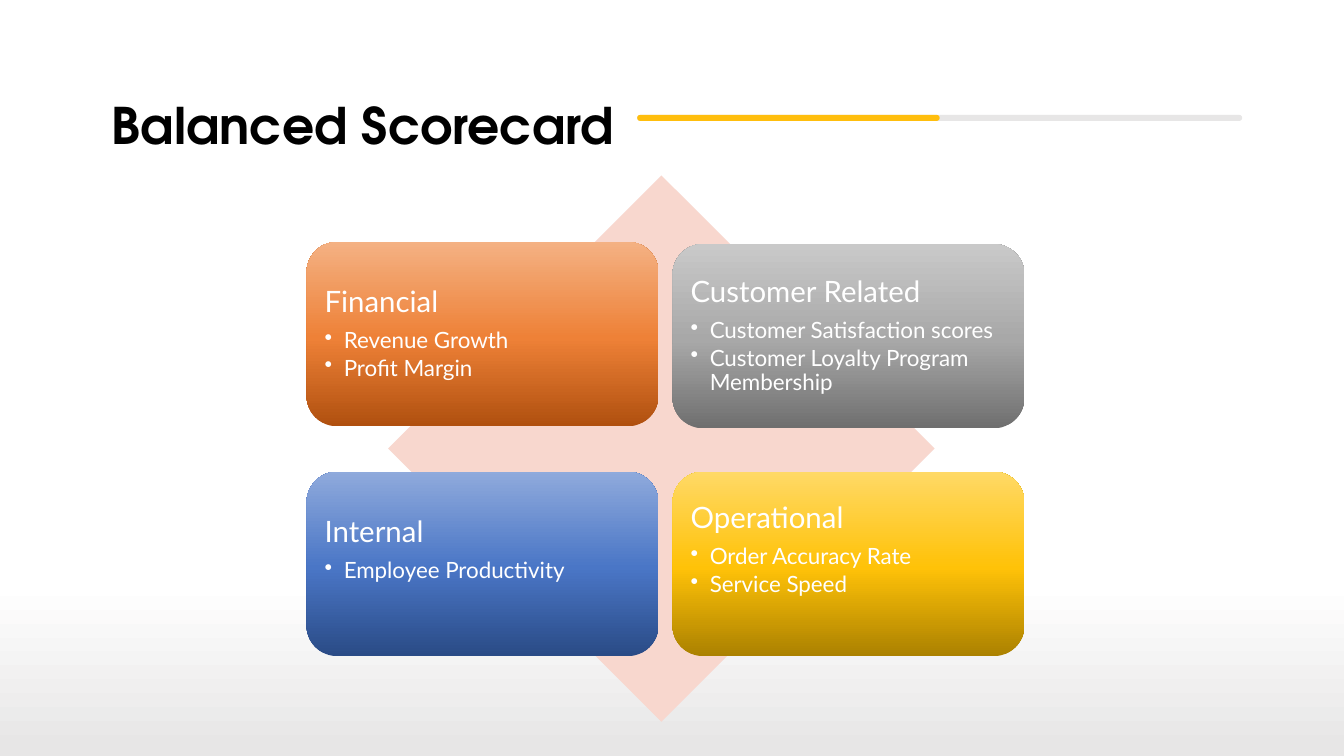
from lxml import etree
from pptx import Presentation
from pptx.dml.color import RGBColor
from pptx.enum.shapes import MSO_SHAPE as SHAPE
from pptx.enum.text import MSO_ANCHOR as ANCHOR, MSO_AUTO_SIZE as AUTO_SIZE, PP_ALIGN as ALIGN
from pptx.oxml.ns import qn
from pptx.util import Inches, Pt

BLACK = RGBColor(0x00, 0x00, 0x00)
WHITE = RGBColor(0xFF, 0xFF, 0xFF)
PALE_GREY = RGBColor(0xE7, 0xE6, 0xE6)
GOLD = RGBColor(0xFF, 0xBE, 0x0D)
BLUSH = RGBColor(0xF8, 0xD7, 0xCE)
ORANGES = (RGBColor(0xB0, 0x50, 0x0F), RGBColor(0xEE, 0x81, 0x37), RGBColor(0xF4, 0xB1, 0x83))
GREYS = (RGBColor(0x6F, 0x6F, 0x6F), RGBColor(0xA8, 0xA8, 0xA8), RGBColor(0xC9, 0xC9, 0xC9))
BLUES = (RGBColor(0x2A, 0x4B, 0x86), RGBColor(0x4A, 0x76, 0xC6), RGBColor(0x8F, 0xAA, 0xDC))
YELLOWS = (RGBColor(0xAB, 0x81, 0x00), RGBColor(0xFF, 0xC2, 0x08), RGBColor(0xFF, 0xD9, 0x66))

TITLE_FONT = {"name": "TeX Gyre Adventor", "size": Pt(36), "bold": True}
HEADING_FONT = {"name": "Lato", "size": Pt(21)}
MEASURE_FONT = {"name": "Lato", "size": Pt(16)}
HEADING_FORMAT = {"alignment": ALIGN.LEFT, "line_spacing": 0.9, "space_after": Pt(7.5)}
MEASURE_FORMAT = {"alignment": ALIGN.LEFT, "line_spacing": 0.9, "space_after": Pt(2.4), "level": 1}

CARD_INSET = 0.09
CARD_STOPS = (0, 48, 100)
# heading, measures, colours, left, top, room kept free below the text
CARDS = [
    ("Financial", ["Revenue Growth", "Profit Margin"], ORANGES, 3.04, 2.4, 0),
    ("Customer Related", ["Customer Satisfaction scores", "Customer Loyalty Program Membership"],
     GREYS, 6.67, 2.42, 0),
    ("Internal", ["Employee Productivity"], BLUES, 3.04, 4.68, 0.27),
    ("Operational", ["Order Accuracy Rate", "Service Speed"], YELLOWS, 6.67, 4.68, 0.27),
]


def set_format(target, values):
    for name, value in values.items():
        setattr(target, name, value)


def set_gradient(fill, owner, stops, angle):
    """Fill with (percent, colour) stops; owner is the XML element holding the fill."""
    fill.gradient()
    fill.gradient_angle = angle
    stop_list = next(owner.iter(qn("a:gsLst")))
    for stop in list(stop_list):
        stop_list.remove(stop)
    for percent, colour in stops:
        stop = etree.SubElement(stop_list, qn("a:gs"), pos=str(percent * 1000))
        etree.SubElement(stop, qn("a:srgbClr"), val=str(colour))


def add_plain_shape(slide, kind, left, top, width, height, colour=None):
    shape = slide.shapes.add_shape(kind, Inches(left), Inches(top), Inches(width), Inches(height))
    shape.shadow.inherit = False
    shape.line.fill.background()
    if colour is not None:
        shape.fill.solid()
        shape.fill.fore_color.rgb = colour
    return shape


def add_bar(slide, width, colour):
    bar = add_plain_shape(slide, SHAPE.ROUNDED_RECTANGLE, 6.32, 1.14, width, 0.06, colour)
    bar.adjustments[0] = 0.5


def write(para, text, font, colour):
    span = para.add_run()
    span.text = text
    set_format(span.font, font)
    span.font.color.rgb = colour


def add_bullet(para):
    properties = para._p.get_or_add_pPr()
    indent = Inches(0.19)
    properties.set("marL", str(indent))
    properties.set("indent", str(-indent))
    etree.SubElement(properties, qn("a:buChar"), char="•")


def add_title(slide, text):
    box = slide.shapes.add_textbox(Inches(1.01), Inches(0.88), Inches(6.68), Inches(0.71))
    set_format(box.text_frame, {"word_wrap": True, "auto_size": AUTO_SIZE.SHAPE_TO_FIT_TEXT})
    write(box.text_frame.paragraphs[0], text, TITLE_FONT, BLACK)


def add_card(slide, heading, measures, colours, left, top, room_below):
    card = add_plain_shape(slide, SHAPE.ROUNDED_RECTANGLE, left, top, 3.49, 1.83)
    set_gradient(card.fill, card._element.spPr, zip(CARD_STOPS, colours), 90)
    frame = card.text_frame
    inset = Inches(CARD_INSET)
    set_format(frame, {
        "word_wrap": True, "vertical_anchor": ANCHOR.MIDDLE,
        "margin_left": inset, "margin_right": inset, "margin_top": inset,
        "margin_bottom": Inches(CARD_INSET + room_below),
    })
    para = frame.paragraphs[0]
    set_format(para, HEADING_FORMAT)
    write(para, heading, HEADING_FONT, WHITE)
    for measure in measures:
        para = frame.add_paragraph()
        set_format(para, MEASURE_FORMAT)
        add_bullet(para)
        write(para, measure, MEASURE_FONT, WHITE)


def main():
    deck = Presentation()
    deck.slide_width, deck.slide_height = Inches(13.33), Inches(7.5)
    slide = deck.slides.add_slide(deck.slide_layouts[6])
    set_gradient(slide.background.fill, slide._element, [(77, WHITE), (99, PALE_GREY)], 270)

    add_title(slide, "Balanced Scorecard")
    add_bar(slide, 6, PALE_GREY)
    add_bar(slide, 3, GOLD)
    add_plain_shape(slide, SHAPE.DIAMOND, 3.85, 1.74, 5.42, 5.42, BLUSH)
    for card in CARDS:
        add_card(slide, *card)
    deck.save("out.pptx")


if __name__ == "__main__":
    main()
